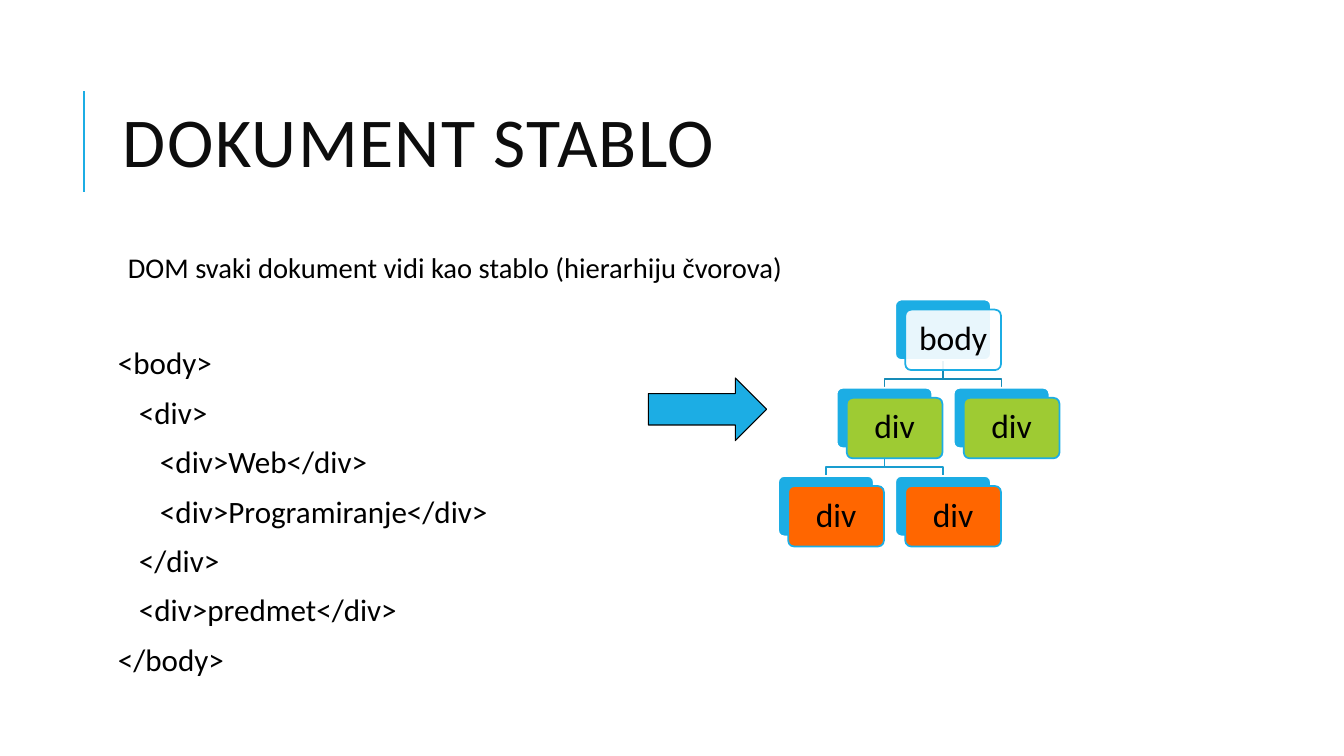
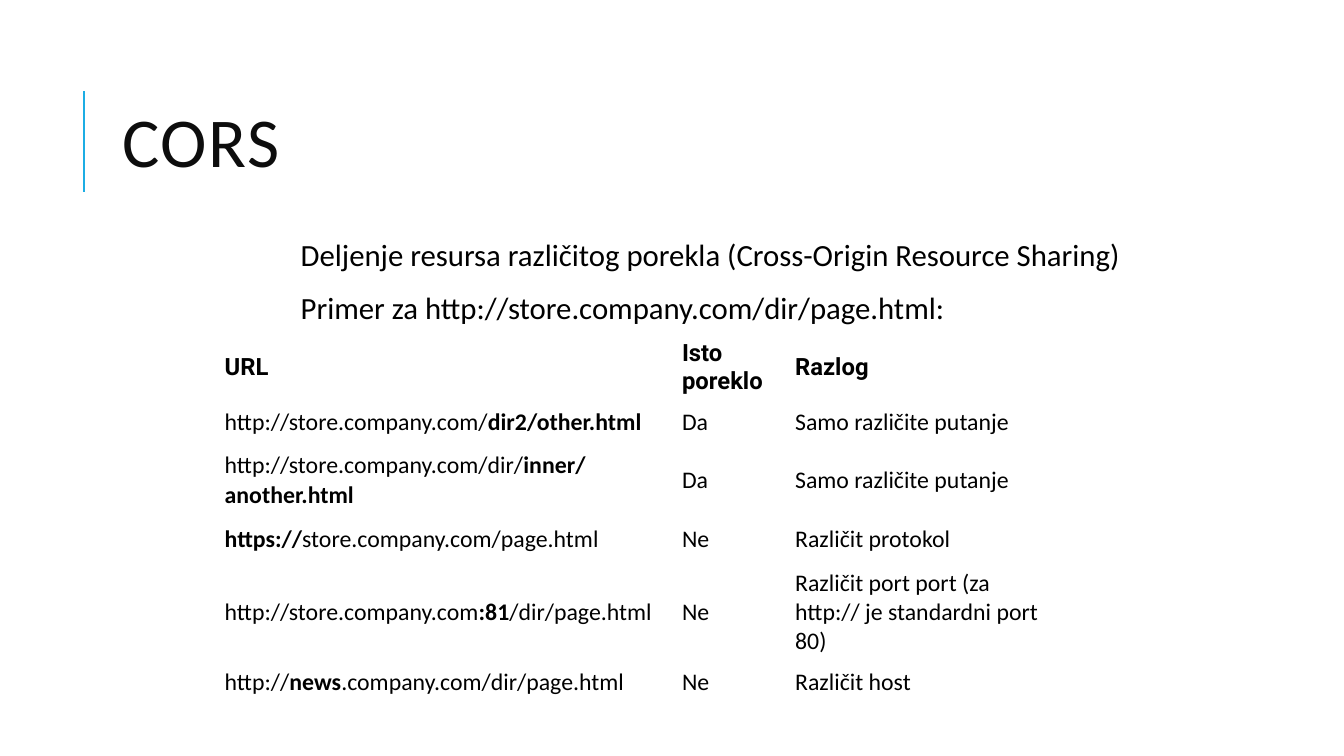
from dataclasses import dataclass
from typing import Any, NamedTuple

import pptx
import pptx.dml.color
import pptx.enum.shapes
import pptx.enum.text
import pptx.oxml.ns
import pptx.util
from lxml import etree

Pt = pptx.util.Pt
RGBColor = pptx.dml.color.RGBColor
Shape = pptx.enum.shapes.MSO_SHAPE
Align = pptx.enum.text.PP_ALIGN
Anchor = pptx.enum.text.MSO_ANCHOR
qn = pptx.oxml.ns.qn

BLUE = RGBColor(0x1C, 0xAD, 0xE4)
TEAL = RGBColor(0x16, 0x8B, 0xB7)
SKY = RGBColor(0x19, 0x9D, 0xCF)
GREEN = RGBColor(0x9E, 0xCB, 0x33)
ORANGE = RGBColor(0xFF, 0x66, 0x00)
WHITE = RGBColor(0xFF, 0xFF, 0xFF)
BLACK = RGBColor(0x00, 0x00, 0x00)
INK = RGBColor(0x0D, 0x0D, 0x0D)

FACE = "Calibri"
HEAD_FACE = "Roboto"
HARD_SPACE = chr(160)


class Box(NamedTuple):
    left: float
    top: float
    width: float
    height: float

    def points(self) -> list[pptx.util.Length]:
        return [Pt(side) for side in self]


@dataclass(frozen=True)
class Line:
    """A body line; before is the space above it."""
    text: str
    size: float
    pitch: float
    indent: float = 0
    before: float = 12


@dataclass(frozen=True)
class Node:
    """A tree box; slot counts half steps from the left."""
    text: str
    slot: int
    level: int
    fill: RGBColor
    alpha: int = 100


@dataclass(frozen=True)
class Link:
    start: Node
    end: Node
    color: RGBColor


@dataclass(frozen=True)
class Row:
    """A table row; every second piece between bars is bold."""
    cells: tuple[str, str, str, str]
    height: float


TITLE = Box(80.6, 46, 765.4, 118)

CODE = [
    "<body>",
    "   <div>",
    "      <div>Web</div>",
    "      <div>Programiranje</div>",
    "   </div>",
    "   <div>predmet</div>",
    "</body>",
]

ROOT = Node("body", 2, 0, WHITE, 90)
LEFT = Node("div", 1, 1, GREEN)
RIGHT = Node("div", 3, 1, GREEN)
LEAVES = [Node("div", slot, 2, ORANGE) for slot in (0, 2)]
NODES = [ROOT, LEFT, RIGHT, *LEAVES]
LINKS = [Link(ROOT, LEFT, TEAL), Link(ROOT, RIGHT, TEAL)]
LINKS += [Link(LEFT, leaf, SKY) for leaf in LEAVES]

TREE_LEFT, TREE_TOP = 555.8, 214
STEP_X, STEP_Y = 41.8, 63
NODE_W, NODE_H = 68.4, 43.2
SHIFT = 7.2
DROP = 13.5

COLUMNS = [326.7, 80.8, 203.8, 190]
HEADS = Row(("URL", "Isto poreklo", "Razlog", ""), 21.6)
ROWS = [
    Row(("http://store.company.com/|dir2/other.html", "Da",
         "Samo različite putanje", ""), 33.8),
    Row(("http://store.company.com/dir/|inner/another.html", "Da",
         "Samo različite putanje", ""), 27.4),
    Row(("|https://|store.company.com/page.html", "Ne",
         "Različit protokol", ""), 35),
    Row(("http://store.company.com|:81|/dir/page.html", "Ne",
         f"Različit port port (za http://{HARD_SPACE}je standardni port 80)",
         ""), 30),
    Row(("http://|news|.company.com/dir/page.html", "Ne",
         "Različit host", ""), 30.2),
]


def add_run(par: Any, text: str, size: float, color: RGBColor = BLACK,
            bold: bool = False, face: str = FACE) -> Any:
    run = par.add_run()
    run.text = text
    run.font.size = Pt(size)
    run.font.name = face
    run.font.bold = bold
    run.font.color.rgb = color
    return run


def place(shape: Any, box: Box) -> None:
    shape.left, shape.top, shape.width, shape.height = box.points()


def pad(frame: Any, side: float, top: float, base: float) -> None:
    frame.margin_left = frame.margin_right = Pt(side)
    frame.margin_top, frame.margin_bottom = Pt(top), Pt(base)


def start_slide(deck: Any, title: str) -> Any:
    """Add a slide with the shared title and the rule beside it."""
    slide = deck.slides.add_slide(deck.slide_layouts[1])
    rule = slide.shapes.add_connector(
        pptx.enum.shapes.MSO_CONNECTOR.STRAIGHT,
        Pt(60), Pt(137), Pt(60), Pt(65))
    rule.line.color.rgb = BLUE
    rule.line.width = Pt(1.5)
    etree.SubElement(rule.element.spPr, qn("a:effectLst"))

    head = slide.shapes.title
    place(head, TITLE)
    frame = head.text_frame
    frame.auto_size = pptx.enum.text.MSO_AUTO_SIZE.NONE
    frame.vertical_anchor = Anchor.MIDDLE
    par = frame.paragraphs[0]
    par.alignment = Align.LEFT
    par.line_spacing = 0.8
    run = add_run(par, title, 50, INK)
    run.font._element.set("spc", "100")
    return slide


def fill_body(slide: Any, box: Box, lines: list[Line]) -> None:
    body = slide.placeholders[1]
    place(body, box)
    frame = body.text_frame
    frame.auto_size = pptx.enum.text.MSO_AUTO_SIZE.NONE
    frame.vertical_anchor = Anchor.TOP
    pad(frame, 3.6, 3.6, 3.6)
    for rank, line in enumerate(lines):
        par = frame.add_paragraph() if rank else frame.paragraphs[0]
        props = par._p.get_or_add_pPr()
        props.set("marL", str(Pt(line.indent)))
        props.set("indent", "0")
        etree.SubElement(props, qn("a:buNone"))
        par.line_spacing = line.pitch
        par.space_before = Pt(line.before if rank else 0)
        par.space_after = Pt(2)
        add_run(par, line.text, line.size)


def add_block(slide: Any, kind: Any, box: Box, fill: RGBColor,
              edge: RGBColor, width: float) -> Any:
    shape = slide.shapes.add_shape(kind, *box.points())
    shape.shadow.inherit = False
    shape.fill.solid()
    shape.fill.fore_color.rgb = fill
    shape.line.color.rgb = edge
    shape.line.width = Pt(width)
    return shape


def find_box(node: Node) -> Box:
    return Box(TREE_LEFT + node.slot * STEP_X,
               TREE_TOP + node.level * STEP_Y, NODE_W, NODE_H)


def draw_link(slide: Any, link: Link) -> None:
    start, end = find_box(link.start), find_box(link.end)
    x, y = start.left + NODE_W / 2, start.top + NODE_H
    goal = end.left + NODE_W / 2
    turns = [(x, y + DROP), (goal, y + DROP), (goal, end.top)]
    pen = slide.shapes.build_freeform(Pt(x), Pt(y))
    pen.add_line_segments([(Pt(a), Pt(b)) for a, b in turns], close=False)
    path = pen.convert_to_shape()
    path.shadow.inherit = False
    path.fill.background()
    path.line.color.rgb = link.color
    path.line.width = Pt(1.25)


def draw_node(slide: Any, node: Node) -> None:
    """Draw the labelled card over its blue backing card."""
    back = find_box(node)
    front = back._replace(left=back.left + SHIFT, top=back.top + SHIFT)
    kind = Shape.ROUNDED_RECTANGLE
    under = add_block(slide, kind, back, BLUE, WHITE, 1.25)
    card = add_block(slide, kind, front, node.fill, BLUE, 1.25)
    for shape in (under, card):
        shape.adjustments[0] = 0.1
    if node.alpha < 100:
        tint = card.element.spPr.find(qn("a:solidFill"))[0]
        etree.SubElement(tint, qn("a:alpha"), val=str(node.alpha * 1000))
    frame = card.text_frame
    frame.word_wrap = False
    frame.vertical_anchor = Anchor.MIDDLE
    pad(frame, 0, 0, 0)
    par = frame.paragraphs[0]
    par.alignment = Align.CENTER
    par.line_spacing = 0.9
    add_run(par, node.text, 24)


def draw_table(slide: Any) -> None:
    rows = [HEADS, *ROWS]
    box = Box(156.2, 241.2, sum(COLUMNS), sum(row.height for row in rows))
    table = slide.shapes.add_table(
        len(rows), len(COLUMNS), *box.points()).table
    table.first_row = table.horz_banding = False
    for column, width in zip(table.columns, COLUMNS):
        column.width = Pt(width)
    for rank, row in enumerate(rows):
        table.rows[rank].height = Pt(row.height)
        is_head = row is HEADS
        for cell, text in zip(table.rows[rank].cells, row.cells):
            cell.fill.background()
            cell.vertical_anchor = Anchor.MIDDLE
            pad(cell, 4.3, *((1.4, 2.2) if is_head else (3.6, 3.6)))
            par = cell.text_frame.paragraphs[0]
            for turn, piece in enumerate(text.split("|")):
                if piece:
                    add_run(par, piece, 17, bold=is_head or turn % 2 == 1,
                            face=HEAD_FACE if is_head else FACE)


def build_tree(deck: Any) -> None:
    slide = start_slide(deck, "DOKUMENT STABLO")
    lines = [Line("DOM svaki dokument vidi kao stablo (hierarhiju čvorova)",
                  20.4, 0.8, indent=7.2)]
    lines += [Line(text, 22.2, 0.8, before=12 if rank else 45.4)
              for rank, text in enumerate(CODE)]
    fill_body(slide, Box(80.6, 180, 765.4, 316.8), lines)
    for link in LINKS:
        draw_link(slide, link)
    for node in NODES:
        draw_node(slide, node)
    add_block(slide, Shape.RIGHT_ARROW, Box(463.1, 270, 84.5, 44.8),
              BLUE, BLACK, 0.75)


def build_cors(deck: Any) -> None:
    slide = start_slide(deck, "CORS")
    texts = ["Deljenje resursa različitog porekla "
             "(Cross-Origin Resource Sharing)",
             "Primer za http://store.company.com/dir/page.html:"]
    fill_body(slide, Box(204, 167.8, 702, 80.6),
              [Line(text, 22, 0.9, indent=7.2) for text in texts])
    draw_table(slide)


def main() -> None:
    deck = pptx.Presentation()
    deck.slide_width, deck.slide_height = Pt(960), Pt(540)
    build_tree(deck)
    build_cors(deck)
    deck.save("out.pptx")


if __name__ == "__main__":
    main()
